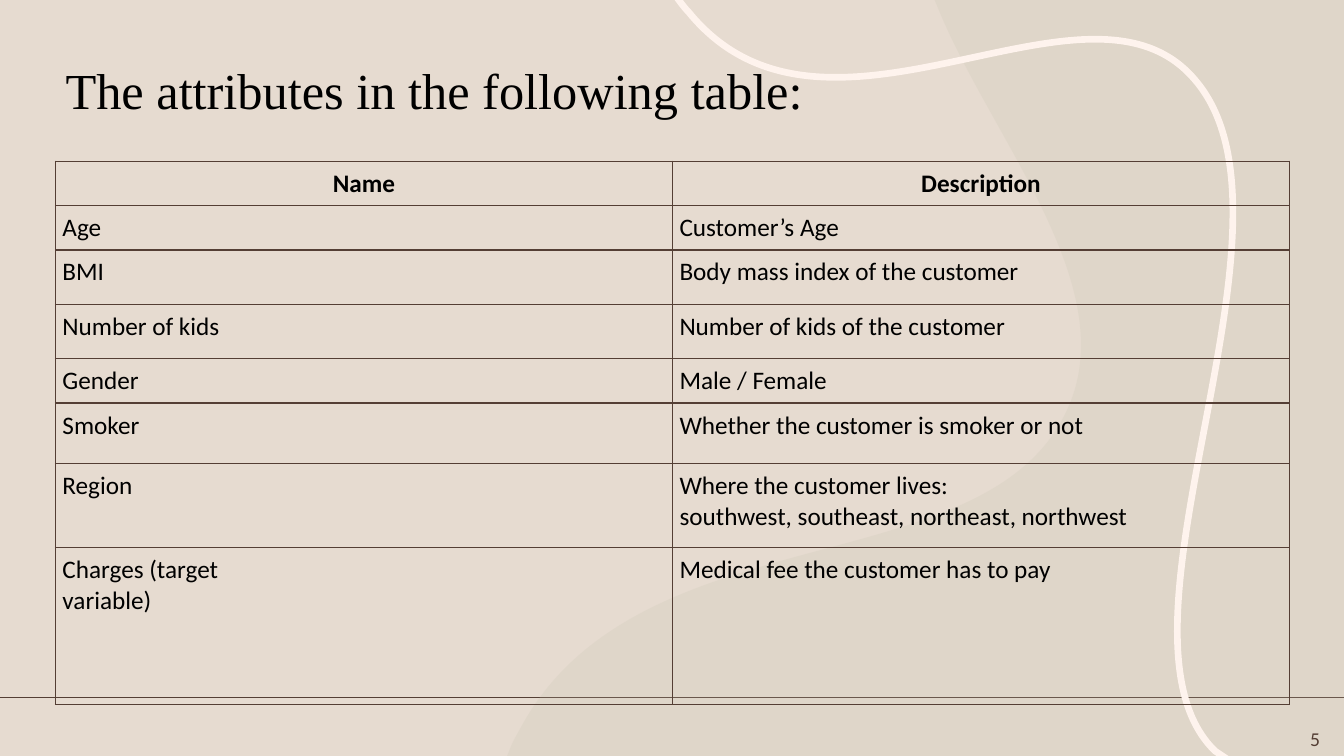
from lxml.etree import SubElement
from pptx import Presentation
from pptx.dml.color import RGBColor
from pptx.enum.shapes import MSO_CONNECTOR as CONN
from pptx.enum.text import MSO_ANCHOR as ANCHOR, PP_ALIGN as ALIGN
from pptx.oxml import parse_xml
from pptx.oxml.ns import nsdecls, qn
from pptx.util import Pt

PX = 9144
WIDTH, HEIGHT = 1333, 750
COLORS = {"bg": "E6DBD0", "brown": "543E34", "blob": "C6C4AF",
          "ribbon": "FEF3ED", "text": "000000"}
ROWS = [
    (44, "Name", "Description"),
    (44, "Age", "Customer’s Age"),
    (54, "BMI", "Body mass index of the customer"),
    (54, "Number of kids", "Number of kids of the customer"),
    (44, "Gender", "Male / Female"),
    (60, "Smoker", "Whether the customer is smoker or not"),
    (83, "Region", "Where the customer lives:\nsouthwest, southeast, northeast, northwest"),
    (156, "Charges (target\nvariable)", "Medical fee the customer has to pay"),
]
BLOB = [[(424, 0)], [(830, 0)], [(830, 750)], [(0, 750)], [(4, 740)],
        [(8, 731), (12, 725), (14, 721)],
        [(128, 512), (459, 578), (549, 419)],
        [(620, 296), (485, 146), (429, 12)]]
RIBBON = [[(546, 756)], [(543, 754)], [(534, 748)],
          [(413, 630), (636, 223), (514, 82)],
          [(407, -44), (149, 183), (12, 15)],
          [(9, 12), (5, 7), (0, 0)]]


def rgb(name):
    return RGBColor.from_string(COLORS[name])


def emu(*lengths):
    return [n * PX for n in lengths]


def write(tf, text, size=18, font="Calibri", color="text", bold=False,
          align=ALIGN.LEFT, spacing=None):
    tf.word_wrap = True
    for i, line in enumerate(text.split("\n")):
        p = tf.add_paragraph() if i else tf.paragraphs[0]
        p.alignment = align
        if spacing:
            p.line_spacing = spacing
        r = p.add_run()
        r.text = line
        r.font.size, r.font.name, r.font.bold = Pt(size), font, bold
        r.font.color.rgb = rgb(color)


def add_outline(s, x, y, w, h, segments, closed):
    builder = s.shapes.build_freeform(x, y, scale=PX)
    builder.add_line_segments([(x + w, y), (x + w, y + h), (x, y + h)])
    sp = builder.convert_to_shape()
    sp.shadow.inherit = False
    outline = next(sp.element.iter(qn("a:path")))
    for child in list(outline):
        outline.remove(child)
    for i, points in enumerate(segments):
        tag = "a:cubicBezTo" if len(points) == 3 else "a:lnTo" if i else "a:moveTo"
        step = SubElement(outline, qn(tag))
        for px, py in points:
            SubElement(step, qn("a:pt"), x=str(px), y=str(py))
    if closed:
        SubElement(outline, qn("a:close"))
    return sp


def add_backdrop(s, x, y, w):
    s.background.fill.solid()
    s.background.fill.fore_color.rgb = rgb("bg")
    rule = s.shapes.add_connector(CONN.STRAIGHT, *emu(x, y + 692, x + w, y + 692))
    rule.line.color.rgb = rgb("brown")
    rule.line.width = Pt(1.25)
    SubElement(rule.element.spPr, qn("a:effectLst"))

    blob = add_outline(s, x + 503, y, 830, 750, BLOB, True)
    blob.fill.solid()
    blob.fill.fore_color.rgb = rgb("blob")
    blob.line.fill.background()
    color = next(blob.element.spPr.iter(qn("a:srgbClr")))
    SubElement(color, qn("a:alpha"), val="20000")

    ribbon = add_outline(s, x + 671, y - 3, 552, 756, RIBBON, False)
    ribbon.fill.background()
    ribbon.line.color.rgb = rgb("ribbon")
    ribbon.line.width = Pt(4.75)


def add_title(s, x, y, w, h):
    sp = s.shapes.title
    sp.left, sp.top, sp.width, sp.height = emu(x, y, w, h)
    s.shapes.element.append(sp.element)
    sp.text_frame.vertical_anchor = ANCHOR.MIDDLE
    write(sp.text_frame, "The attributes in the following table:", size=36,
          font="Times New Roman", spacing=0.9)


def set_borders(cell):
    tcPr = cell._tc.get_or_add_tcPr()
    for i, side in enumerate("LRTB"):
        tcPr.insert(i, parse_xml(
            f'<a:ln{side} {nsdecls("a")} w="{Pt(1)}"><a:solidFill>'
            f'<a:srgbClr val="{COLORS["brown"]}"/></a:solidFill></a:ln{side}>'))


def add_attributes(s, x, y, w):
    total = sum(row[0] for row in ROWS)
    table = s.shapes.add_table(len(ROWS), 2, *emu(x, y, w, total)).table
    table.first_row = table.horz_banding = False
    for column in table.columns:
        column.width = w // 2 * PX
    for i, (height, *texts) in enumerate(ROWS):
        table.rows[i].height = height * PX
        for cell, text in zip(table.rows[i].cells, texts):
            cell.margin_left = cell.margin_right = cell.margin_top = 7 * PX
            cell.margin_bottom = 6 * PX
            cell.fill.background()
            set_borders(cell)
            write(cell.text_frame, text, bold=i == 0,
                  align=ALIGN.LEFT if i else ALIGN.CENTER)


def add_page_number(s, x, y, w, h):
    tf = s.shapes.add_textbox(*emu(x, y, w, h)).text_frame
    tf.vertical_anchor = ANCHOR.MIDDLE
    write(tf, "5", size=14, color="brown", align=ALIGN.RIGHT)


def main():
    prs = Presentation()
    prs.slide_width, prs.slide_height = emu(WIDTH, HEIGHT)
    s = prs.slides.add_slide(prs.slide_layouts[5])
    add_backdrop(s, 0, 0, WIDTH)
    add_title(s, 55, 55, 1174, 74)
    add_attributes(s, 55, 160, 1224)
    add_page_number(s, 1211, 716, 108, 34)
    prs.save("out.pptx")


if __name__ == "__main__":
    main()
